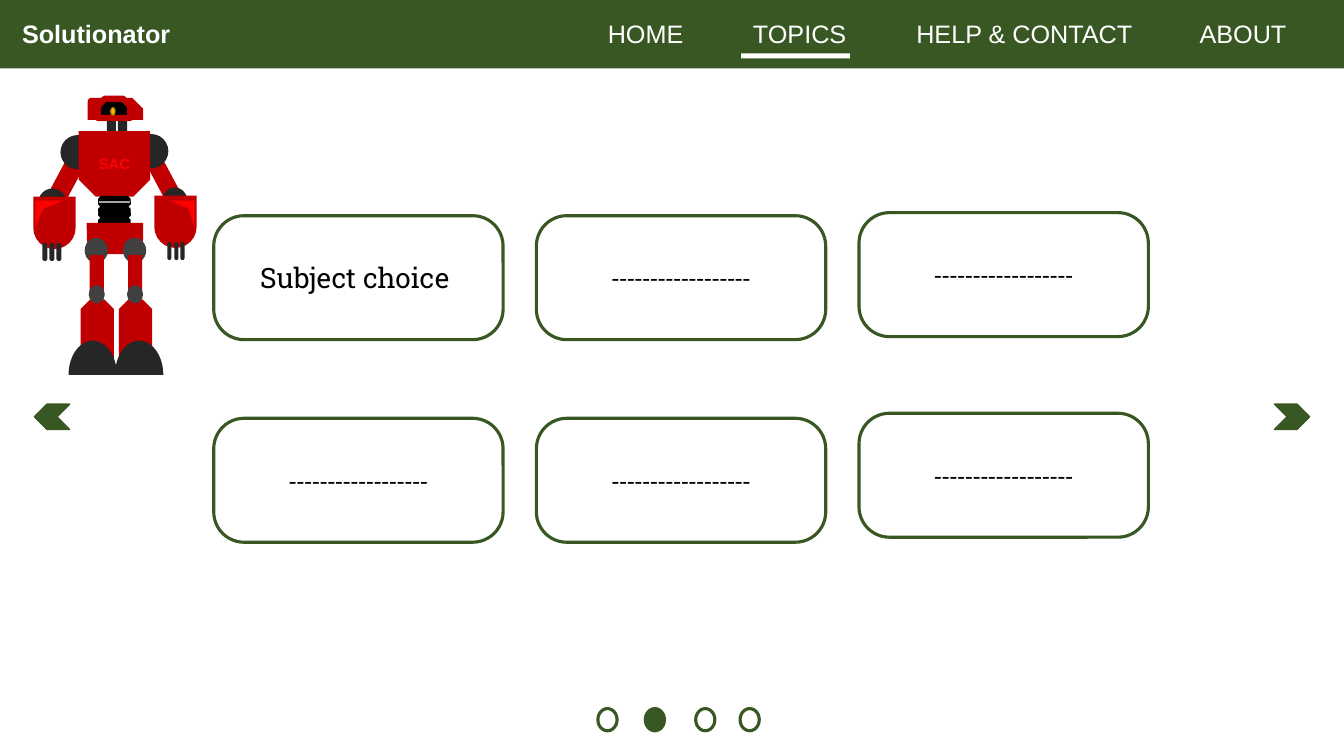
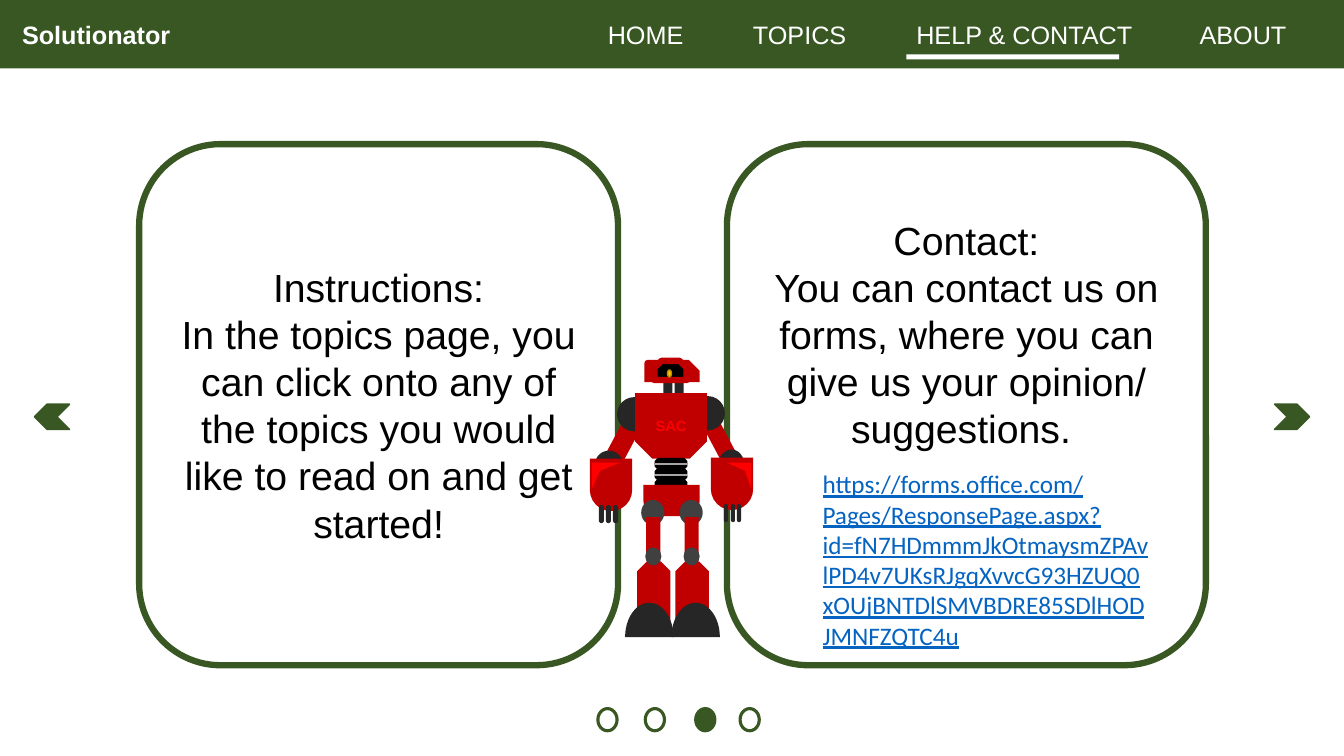
from dataclasses import dataclass
from itertools import product
from math import cos, pi, sin
from typing import Any, Optional

from lxml.etree import SubElement
from pptx import Presentation
from pptx.dml.color import RGBColor
from pptx.enum.shapes import MSO_CONNECTOR, MSO_SHAPE
from pptx.enum.text import MSO_ANCHOR, PP_ALIGN
from pptx.oxml.ns import qn
from pptx.util import Inches, Pt

# Shared look, lengths in inches
SLIDE_WIDTH, SLIDE_HEIGHT = 13.33, 7.5
GREEN, WHITE, BLACK, LINK_BLUE = "385723", "FFFFFF", "000000", "0563C1"
RED, BRIGHT_RED, CHARCOAL, GREY = "C00000", "FF0000", "262626", "404040"
FONT = "Arial"
BAND_HEIGHT = 0.68
MENU = ("HOME", "TOPICS", "HELP & CONTACT", "ABOUT")
MENU_TABS = (1.44, 3.06, 5.87)
DOT_LEFTS = (5.93, 6.4, 6.9, 7.34)
ARROW_WIDTH, ARROW_MARGIN = 0.35, 0.34

RECT, OVAL = MSO_SHAPE.RECTANGLE, MSO_SHAPE.OVAL
ROUND, ROUND_TOP = MSO_SHAPE.ROUNDED_RECTANGLE, MSO_SHAPE.ROUND_2_SAME_RECTANGLE
SNIP_TOP, SNIP_ROUND = MSO_SHAPE.SNIP_2_SAME_RECTANGLE, MSO_SHAPE.SNIP_ROUND_RECTANGLE


@dataclass(frozen=True)
class Box:
    left: float
    top: float
    width: float
    height: float

    def moved(self, across: float, down: float) -> "Box":
        return Box(self.left + across, self.top + down, self.width, self.height)

    def lengths(self) -> tuple:
        return tuple(Inches(v) for v in (self.left, self.top, self.width, self.height))


@dataclass(frozen=True)
class Part:
    kind: Any
    box: Box
    fill: Optional[str] = None
    line: Optional[str] = None
    line_width: float = 1
    rotation: float = 0
    adjustments: tuple = ()


@dataclass(frozen=True)
class TextStyle:
    size: float
    color: str = BLACK
    font: str = FONT
    bold: bool = False
    underline: bool = False


@dataclass(frozen=True)
class Page:
    number: int
    menu_top: float
    underline_left: float
    underline_width: float


# Robot parts, measured from the robot's top left corner
def arm(bone: Part, shoulder: Box, elbow: Box, hand: Box, fingers: tuple) -> list[Part]:
    return [
        bone,
        Part(OVAL, shoulder, CHARCOAL),
        Part(OVAL, elbow, CHARCOAL),
        Part(ROUND_TOP, hand, RED, rotation=180, adjustments=(0.5, 0)),
        *(Part(ROUND, finger, CHARCOAL, adjustments=(0.5,)) for finger in fingers),
    ]


def leg(across: float) -> list[Part]:
    return [
        Part(OVAL, Box(0.51, 1.41, 0.23, 0.25).moved(across, 0), GREY),
        Part(RECT, Box(0.56, 1.58, 0.14, 0.38).moved(across, 0), RED),
        Part(SNIP_TOP, Box(0.47, 2.02, 0.33, 0.63).moved(across, 0), RED,
             adjustments=(0.29, 0)),
        Part(OVAL, Box(0.55, 1.88, 0.16, 0.18).moved(across, 0), GREY),
    ]


NECK = [Part(RECT, Box(left, 0.21, 0.09, 0.23), CHARCOAL) for left in (0.73, 0.84)]
RIGHT_ARM = arm(
    Part(RECT, Box(1.2, 0.52, 0.17, 0.58), RED, rotation=331.9),
    Box(1, 0.38, 0.34, 0.34), Box(1.28, 0.91, 0.25, 0.28), Box(1.2, 0.99, 0.42, 0.52),
    tuple(Box(left, 1.45, 0.04, 0.18) for left in (1.33, 1.4, 1.46)))
LEFT_ARM = arm(
    Part(RECT, Box(0.24, 0.53, 0.19, 0.58), RED, rotation=28.1),
    Box(0.27, 0.39, 0.34, 0.34), Box(0.05, 0.92, 0.28, 0.28), Box(0, 1, 0.42, 0.52),
    tuple(Box(left, 1.46, 0.05, 0.18) for left in (0.09, 0.16, 0.23)))
TORSO = Part(SNIP_TOP, Box(0.45, 0.35, 0.71, 0.65), RED, rotation=180,
             adjustments=(0.26, 0))
GLINTS = (((0.3, 1.04), (0.02, 1.04), (0.02, 1.3), (0.1, 1.12)),
          ((1.36, 1.04), (1.6, 1.04), (1.6, 1.3), (1.54, 1.12)))
WAIST = [Part(SNIP_TOP, Box(0.65, top, 0.31, 0.05), BLACK, BLACK,
              rotation=180 * (index % 2), adjustments=(0.5, 0))
         for index, top in enumerate((1, 1.05, 1.1, 1.16, 1.21))]
HIP = Part(ROUND_TOP, Box(0.53, 1.26, 0.56, 0.31), RED, rotation=180,
           adjustments=(0.5, 0))
FEET = (Box(0.81, 2.43, 0.48, 0.34), Box(0.35, 2.43, 0.48, 0.34))
HEAD = [
    Part(SNIP_ROUND, Box(0.54, 0.02, 0.55, 0.22), RED, adjustments=(0.167, 0.5)),
    Part(SNIP_TOP, Box(0.64, 0.03, 0.32, 0.19), BLACK, RED, 4.5, adjustments=(0.368, 0)),
    Part(OVAL, Box(0.77, 0.12, 0.04, 0.07), "FFC000", "BD8E00"),
]


# Drawing helpers
def color(value: str) -> RGBColor:
    return RGBColor.from_string(value)


def paint(shape: Any, fill: Optional[str], line: Optional[str] = None,
          line_width: float = 1) -> None:
    shape.shadow.inherit = False
    if fill:
        shape.fill.solid()
        shape.fill.fore_color.rgb = color(fill)
    else:
        shape.fill.background()
    if line:
        shape.line.color.rgb = color(line)
        shape.line.width = Pt(line_width)
    else:
        shape.line.fill.background()


def draw_part(shapes: Any, part: Part, across: float = 0, down: float = 0) -> Any:
    shape = shapes.add_shape(part.kind, *part.box.moved(across, down).lengths())
    for index, value in enumerate(part.adjustments):
        shape.adjustments[index] = value
    shape.rotation = part.rotation
    paint(shape, part.fill, part.line, part.line_width)
    return shape


def draw_outline(shapes: Any, points: Any, fill: str, across: float, down: float) -> None:
    corners = [(Inches(x + across), Inches(y + down)) for x, y in points]
    builder = shapes.build_freeform(*corners[0])
    builder.add_line_segments(corners[1:], close=True)
    paint(builder.convert_to_shape(), fill)


def write(shape: Any, lines: tuple, style: TextStyle, alignment: Any = PP_ALIGN.LEFT) -> None:
    frame = shape.text_frame
    frame.word_wrap = True
    for index, line in enumerate(lines):
        paragraph = frame.add_paragraph() if index else frame.paragraphs[0]
        paragraph.alignment = alignment
        run = paragraph.add_run()
        run.text = line
        font = run.font
        font.name, font.size = style.font, Pt(style.size)
        font.bold, font.underline = style.bold, style.underline
        font.color.rgb = color(style.color)


def draw_text(shapes: Any, box: Box, text: str, style: TextStyle) -> Any:
    text_box = shapes.add_textbox(*box.lengths())
    write(text_box, (text,), style)
    return text_box


def draw_card(slide: Any, box: Box, lines: tuple, style: TextStyle, line_width: float,
              corner: float) -> Any:
    card = draw_part(slide.shapes, Part(ROUND, box, None, GREEN, line_width,
                                        adjustments=(corner,)))
    card.text_frame.vertical_anchor = MSO_ANCHOR.MIDDLE
    write(card, lines, style, PP_ALIGN.CENTER)
    return card


def draw_robot(slide: Any, left: float, top: float, waist_lines: tuple) -> None:
    shapes = slide.shapes.add_group_shape().shapes
    for part in (*NECK, *RIGHT_ARM, *LEFT_ARM, TORSO):
        draw_part(shapes, part, left, top)
    for glint in GLINTS:
        draw_outline(shapes, glint, BRIGHT_RED, left, top)
    for ring in WAIST:
        draw_part(shapes, ring, left, top)
    for height in waist_lines:
        line = shapes.add_connector(
            MSO_CONNECTOR.STRAIGHT, Inches(left + 0.65), Inches(top + height),
            Inches(left + 0.96), Inches(top + height))
        line.line.color.rgb = color("A5A5A5")
        line.line.width = Pt(1.5)
        SubElement(line._element.spPr, qn("a:effectLst"))
    for part in (HIP, *leg(0), *leg(0.38)):
        draw_part(shapes, part, left, top)
    # Domed feet: the upper half of an ellipse
    for foot in FEET:
        middle, floor = foot.left + foot.width / 2, foot.top + foot.height
        angles = [pi * step / 24 for step in range(25)]
        dome = [(middle + foot.width / 2 * cos(a), floor - foot.height * sin(a))
                for a in angles]
        draw_outline(shapes, dome, CHARCOAL, left, top)
    for part in HEAD:
        draw_part(shapes, part, left, top)
    badge = shapes.add_textbox(*Box(0.45, 0.55, 0.71, 0.24).moved(left, top).lengths())
    frame = badge.text_frame
    frame.margin_left = frame.margin_right = frame.margin_top = frame.margin_bottom = 0
    frame.vertical_anchor = MSO_ANCHOR.MIDDLE
    write(badge, ("SAC",), TextStyle(10.5, BRIGHT_RED, bold=True), PP_ALIGN.CENTER)


def add_page(presentation: Any, page: Page) -> Any:
    slide = presentation.slides.add_slide(presentation.slide_layouts[6])
    shapes = slide.shapes
    # Menu band
    draw_part(shapes, Part(RECT, Box(0, 0, SLIDE_WIDTH, BAND_HEIGHT), GREEN))
    draw_text(shapes, Box(0.12, page.menu_top, 1.79, 0.4), "Solutionator",
              TextStyle(18, WHITE, bold=True))
    menu = draw_text(shapes, Box(5.93, page.menu_top, 7.2, 0.4), "\t".join(MENU),
                     TextStyle(18, WHITE))
    properties = menu.text_frame.paragraphs[0]._p.get_or_add_pPr()
    tabs = SubElement(properties, qn("a:tabLst"))
    for position in MENU_TABS:
        SubElement(tabs, qn("a:tab"), pos=str(Inches(position)), algn="l")
    draw_part(shapes, Part(RECT, Box(page.underline_left, page.menu_top + 0.4,
                                     page.underline_width, 0.05), WHITE))
    # Side arrows
    right_arrow = SLIDE_WIDTH - ARROW_MARGIN - ARROW_WIDTH
    for left, rotation in ((ARROW_MARGIN, 180), (right_arrow, 0)):
        draw_part(shapes, Part(MSO_SHAPE.CHEVRON, Box(left, 4.01, ARROW_WIDTH, 0.25),
                               GREEN, GREEN, rotation=rotation))
    # Page dots
    for index, left in enumerate(DOT_LEFTS):
        draw_part(shapes, Part(OVAL, Box(left, 7.03, 0.19, 0.22),
                               GREEN if index == page.number else None, GREEN, 2.25))
    return slide


def build_topics(presentation: Any) -> None:
    slide = add_page(presentation, Page(1, 0.13, 7.35, 1.08))
    row_tops = ((2.14, 2.14, 2.11), (4.15, 4.15, 4.1))
    for row, column in product(range(2), range(3)):
        box = Box(2.12 + 3.2 * column, row_tops[row][column], 2.87, 1.23)
        if row == column == 0:
            text, style = "Subject choice ", TextStyle(20, font="Roboto Slab")
        else:
            text, style = "-" * 18, TextStyle(18, font="Calibri")
        draw_card(slide, box, (text,), style, 2.25, 0.245)
    draw_robot(slide, 0.33, 0.95, (1.05,))


def build_help(presentation: Any) -> None:
    slide = add_page(presentation, Page(2, 0.14, 8.99, 2.11))
    panel = Box(1.38, 1.43, 4.75, 5.17)
    style = TextStyle(28)
    draw_card(slide, panel, (
        "Instructions:",
        "In the topics page, you can click onto any of the topics you would like to "
        "read on and get started!"), style, 4.5, 0.17)
    contact = draw_card(slide, panel.moved(5.83, 0), (
        "Contact:",
        "You can contact us on forms, where you can give us your opinion/ "
        "suggestions. "), style, 4.5, 0.17)
    contact.text_frame.margin_bottom = Inches(1.45)  # room for the address
    draw_robot(slide, 5.85, 3.55, (1.05, 1.16))
    draw_text(
        slide.shapes, Box(8.06, 4.6, 3.43, 1.92),
        "https://forms.office.com/Pages/ResponsePage.aspx?id=fN7HDmmmJkOtmaysmZPA"
        "vlPD4v7UKsRJgqXvvcG93HZUQ0xOUjBNTDlSMVBDRE85SDlHODJMNFZQTC4u",
        TextStyle(18, LINK_BLUE, "Calibri", underline=True))


def main() -> None:
    presentation = Presentation()
    presentation.slide_width = Inches(SLIDE_WIDTH)
    presentation.slide_height = Inches(SLIDE_HEIGHT)
    build_topics(presentation)
    build_help(presentation)
    presentation.save("out.pptx")


if __name__ == "__main__":
    main()
